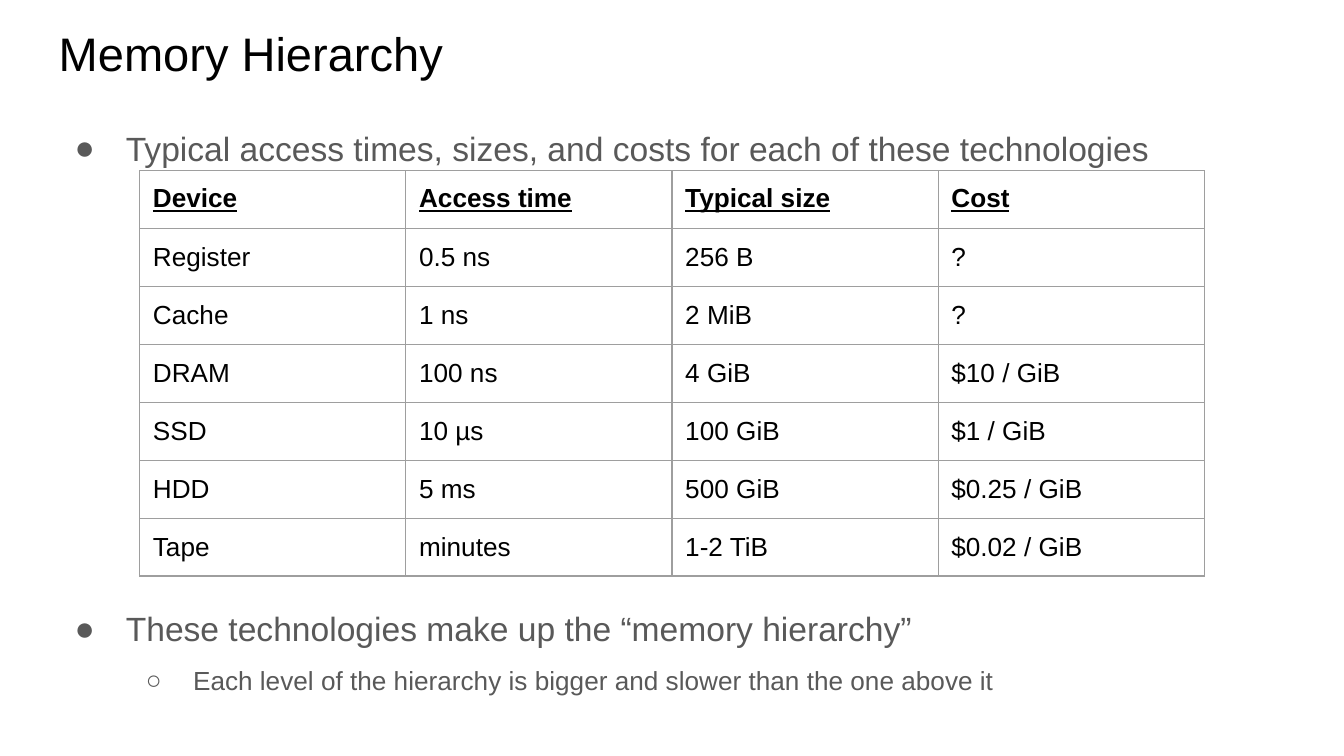
from lxml.etree import SubElement as Sub
from pptx import Presentation
from pptx.dml.color import RGBColor as RGB
from pptx.enum.text import MSO_ANCHOR as Anchor, PP_ALIGN as Align
from pptx.oxml.ns import qn
from pptx.util import Cm, Pt

# Content
TITLE = "Memory Hierarchy"
INTRO = [(0, "Typical access times, sizes, and costs for each of these technologies")]
CLOSE = [
    (0, "These technologies make up the “memory hierarchy”"),
    (1, "Each level of the hierarchy is bigger and slower than the one above it"),
]
ROWS = [
    ("Device", "Access time", "Typical size", "Cost"),
    ("Register", "0.5 ns", "256 B", "?"),
    ("Cache", "1 ns", "2 MiB", "?"),
    ("DRAM", "100 ns", "4 GiB", "$10 / GiB"),
    ("SSD", "10 µs", "100 GiB", "$1 / GiB"),
    ("HDD", "5 ms", "500 GiB", "$0.25 / GiB"),
    ("Tape", "minutes", "1-2 TiB", "$0.02 / GiB"),
]


class Theme:
    font = "Arial"
    ink, gray, rule = "000000", "595959", "9E9E9E"
    title, cell = 25.2, 14
    line = 0.75
    pad = Cm(0.25)
    # By level: bullet, type size, left margin, hanging indent
    levels = [("●", 18, Cm(1.27), Cm(0.97)), ("○", 14, Cm(2.54), Cm(0.89))]


# Layout
LEFT, WIDE = Cm(0.86), Cm(23.67)
TOP, TALL = Cm(1.78), Cm(11.05)
CLOSE_TOP = Cm(10.87)
COL, ROW = Cm(5.03), Cm(1.06)


def write(para, text, size=Theme.cell, color=Theme.ink, bold=False, line=False):
    para.alignment = Align.LEFT
    run = para.add_run()
    run.text = text
    font = run.font
    font.name, font.size = Theme.font, Pt(size)
    font.bold, font.underline = bold, line
    font.color.rgb = RGB.from_string(color)


def inset(part):
    part.margin_left = part.margin_right = Theme.pad
    part.margin_top = part.margin_bottom = Theme.pad


def paint(parent, color):
    Sub(Sub(parent, qn("a:solidFill")), qn("a:srgbClr"), val=color)


def bullet(para, level):
    mark, size, left, hang = Theme.levels[level]
    para.level = level
    para.line_spacing = 1.5
    props = para._p.get_or_add_pPr()
    props.set("marL", str(left))
    props.set("indent", str(-hang))
    Sub(Sub(props, qn("a:buClr")), qn("a:srgbClr"), val=Theme.gray)
    Sub(props, qn("a:buFont"), typeface=Theme.font)
    Sub(props, qn("a:buChar"), char=mark)
    return size


def points(slide, items, top):
    frame = slide.shapes.add_textbox(LEFT, top, WIDE, TALL).text_frame
    frame.word_wrap = True
    inset(frame)
    for i, (level, text) in enumerate(items):
        para = frame.add_paragraph() if i else frame.paragraphs[0]
        write(para, text, size=bullet(para, level), color=Theme.gray)


def border(cell):
    props = cell._tc.get_or_add_tcPr()
    for side in ("lnL", "lnR", "lnT", "lnB"):
        paint(Sub(props, qn("a:" + side), w=str(Pt(Theme.line))), Theme.rule)


def grid(slide, rows):
    count, cols = len(rows), len(rows[0])
    table = slide.shapes.add_table(
        count, cols, Cm(2.64), Cm(3.23), COL * cols, ROW * count).table
    table.first_row = table.horz_banding = False
    for r, row in enumerate(rows):
        head = r == 0
        for c, text in enumerate(row):
            cell = table.cell(r, c)
            border(cell)
            cell.fill.background()
            inset(cell)
            cell.vertical_anchor = Anchor.TOP if head else Anchor.MIDDLE
            write(cell.text_frame.paragraphs[0], text, bold=head, line=head)


def main():
    deck = Presentation()
    deck.slide_width, deck.slide_height = Cm(25.4), Cm(14.29)
    slide = deck.slides.add_slide(deck.slide_layouts[5])

    # Title
    title = slide.shapes.title
    title.left, title.top, title.width, title.height = LEFT, Cm(0.18), WIDE, Cm(1.6)
    frame = title.text_frame
    frame.word_wrap = True
    frame.vertical_anchor = Anchor.BOTTOM
    inset(frame)
    write(frame.paragraphs[0], TITLE, size=Theme.title)

    # Bullets around the table
    points(slide, INTRO, TOP)
    grid(slide, ROWS)
    points(slide, CLOSE, CLOSE_TOP)

    deck.save("out.pptx")


if __name__ == "__main__":
    main()
